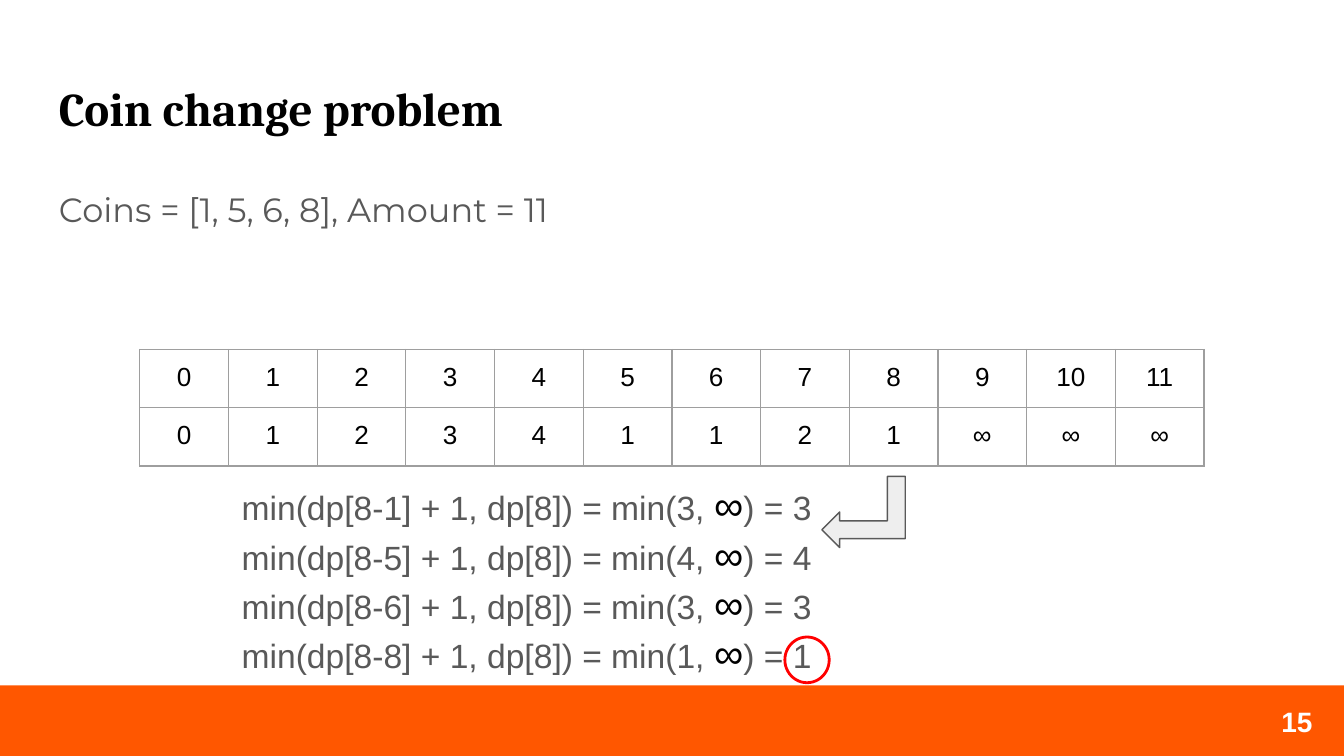
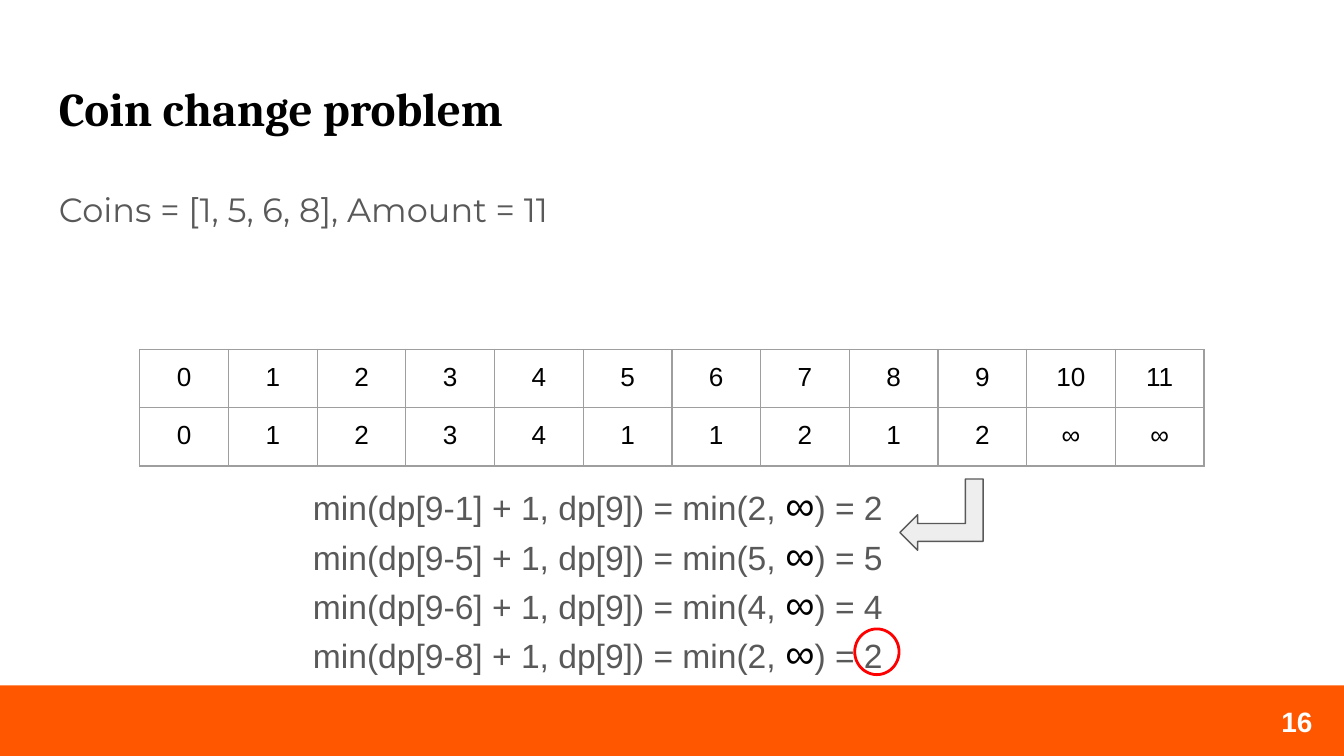
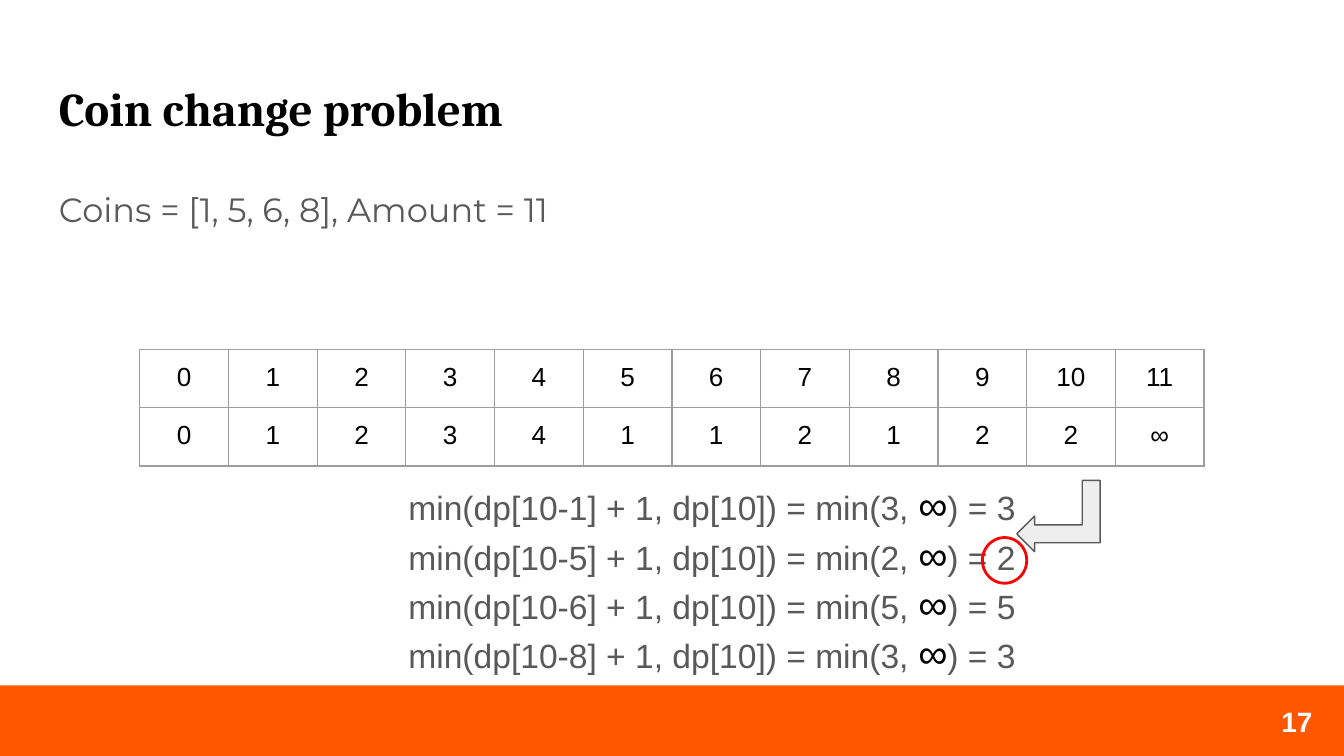
"""Build three slides that step through the coin change table."""
from dataclasses import dataclass

from lxml import etree
from pptx import Presentation
from pptx import util as u
from pptx.dml.color import RGBColor
from pptx.enum import shapes, text
from pptx.oxml import ns

TITLE = "Coin change problem"
PROBLEM = "Coins = [1, 5, 6, 8], Amount = 11"
COINS = [1, 5, 6, 8]
INFINITY = "∞"
FEWEST_COINS = [0, 1, 2, 3, 4, 1, 1, 2, 1, 2, 2]
AMOUNTS = range(12)
STEPS = [
    {"number": 15, "amount": 8, "costs": [3, 4, 3, 1], "left": 1.7,
     "arrow": (6.16, 3.5), "ring": (5.84, 4.74)},
    {"number": 16, "amount": 9, "costs": [2, 5, 4, 2], "left": 2.23,
     "arrow": (6.74, 3.52), "ring": (6.36, 4.68)},
    {"number": 17, "amount": 10, "costs": [3, 2, 5, 3], "left": 2.94,
     "arrow": (7.61, 3.53), "ring": (7.31, 4)},
]


@dataclass(frozen=True)
class Style:
    size: float
    color: str
    font: str = "Arial"
    bold: bool = False


@dataclass(frozen=True)
class Theme:
    band: str = "FF5700"
    grid: str = "9E9E9E"
    arrow: str = "EEEEEE"
    outline: str = "595959"
    ring: str = "FF0000"
    title: Style = Style(25.2, "000000", "Cambria", True)
    body: Style = Style(18, "595959", "Montserrat")
    formula: Style = Style(18, "595959")
    infinity: Style = Style(22, "000000")
    cell: Style = Style(14, "000000")
    number: Style = Style(15, "FFFFFF", bold=True)


THEME = Theme()


def rgb(value):
    return RGBColor.from_string(value)


def inches(values):
    return [u.Inches(value) for value in values]


def add_span(para, words, style):
    span = para.add_run()
    span.text = words
    font = span.font
    font.size, font.name, font.bold = u.Pt(style.size), style.font, style.bold
    font.color.rgb = rgb(style.color)
    etree.SubElement(font._element, ns.qn("a:ea"), typeface=style.font)


def set_margins(owner):
    for side in ("left", "top", "right", "bottom"):
        setattr(owner, f"margin_{side}", u.Inches(0.1))


def add_box(page, place, lines):
    frame = page.shapes.add_textbox(*inches(place)).text_frame
    frame.word_wrap = True
    set_margins(frame)
    for index, spans in enumerate(lines):
        para = frame.add_paragraph() if index else frame.paragraphs[0]
        for words, style in spans:
            add_span(para, words, style)
    return frame


def add_figure(page, kind, place, fill=None, line=None, width=0.75):
    figure = page.shapes.add_shape(kind, *inches(place))
    figure.shadow.inherit = False
    if fill:
        figure.fill.solid()
        figure.fill.fore_color.rgb = rgb(fill)
    else:
        figure.fill.background()
    if line:
        figure.line.color.rgb = rgb(line)
        figure.line.width = u.Pt(width)
    else:
        figure.line.fill.background()
    return figure


def add_frame(page, number):
    add_figure(page, shapes.MSO_SHAPE.RECTANGLE, (0, 5.1, 10, 0.53), THEME.band)
    add_box(page, (0.34, 0.49, 9.32, 0.63), [[(TITLE, THEME.title)]])
    footer = add_box(page, (9.35, 5.15, 0.6, 0.43), [[(str(number), THEME.number)]])
    footer.vertical_anchor = text.MSO_ANCHOR.MIDDLE
    footer.paragraphs[0].alignment = text.PP_ALIGN.CENTER
    body = add_box(page, (0.34, 1.26, 9.32, 3.74), [[(PROBLEM, THEME.body)]])
    body.paragraphs[0].line_spacing = 1.15
    body.paragraphs[0].space_after = u.Pt(12)


def add_borders(cell):
    properties = cell._tc.get_or_add_tcPr()
    for side in ("lnL", "lnR", "lnT", "lnB"):
        line = etree.SubElement(properties, ns.qn(f"a:{side}"), w=str(u.Pt(0.75)))
        fill = etree.SubElement(line, ns.qn("a:solidFill"))
        etree.SubElement(fill, ns.qn("a:srgbClr"), val=THEME.grid)


def add_grid(page, amount):
    known = [FEWEST_COINS[i] if i <= amount else INFINITY for i in AMOUNTS]
    rows = [AMOUNTS, known]
    size = (0.66 * len(AMOUNTS), 0.42 * len(rows))
    grid = page.shapes.add_table(len(rows), len(AMOUNTS), *inches((1.04, 2.6, *size))).table
    grid.first_row = grid.horz_banding = False
    for r, values in enumerate(rows):
        for c, value in enumerate(values):
            cell = grid.cell(r, c)
            set_margins(cell)
            add_borders(cell)
            cell.fill.background()
            para = cell.text_frame.paragraphs[0]
            para.alignment = text.PP_ALIGN.CENTER
            add_span(para, str(value), THEME.cell)


def add_formulas(page, amount, costs, left):
    lines = [[(f"min(dp[{amount}-{coin}] + 1, dp[{amount}]) = min({cost}, ", THEME.formula),
              (INFINITY, THEME.infinity),
              (f") = {cost}", THEME.formula)] for coin, cost in zip(COINS, costs)]
    add_box(page, (left, 3.47, 4.85, 1.54), lines)


def add_marks(page, arrow_corner, ring_corner):
    arrow = add_figure(page, shapes.MSO_SHAPE.BENT_UP_ARROW, (*arrow_corner, 0.53, 0.62),
                       THEME.arrow, THEME.outline)
    arrow.rotation = 270
    arrow._element.spPr.find(ns.qn("a:xfrm")).set("flipH", "1")
    add_figure(page, shapes.MSO_SHAPE.OVAL, (*ring_corner, 0.33, 0.34),
               line=THEME.ring, width=1.5)


def main():
    deck = Presentation()
    deck.slide_width = u.Inches(10)
    deck.slide_height = deck.slide_width * 9 // 16
    for step in STEPS:
        page = deck.slides.add_slide(deck.slide_layouts[6])
        add_frame(page, step["number"])
        add_grid(page, step["amount"])
        add_formulas(page, step["amount"], step["costs"], step["left"])
        add_marks(page, step["arrow"], step["ring"])
    deck.save("out.pptx")


if __name__ == "__main__":
    main()
